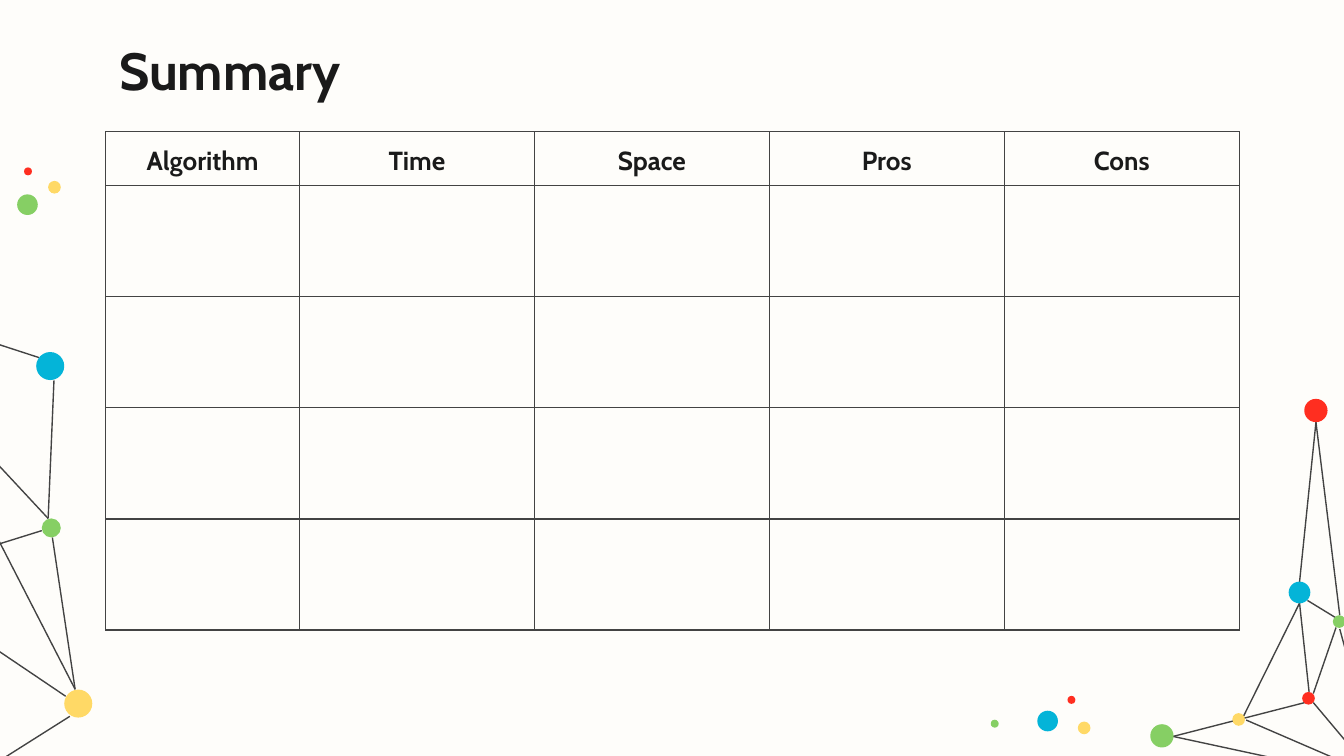
"""Build a summary slide with an algorithm comparison table and network decorations."""
from lxml.etree import SubElement
from pptx import Presentation
from pptx.dml.color import RGBColor
from pptx.enum.shapes import MSO_CONNECTOR as Connector, MSO_SHAPE as Shape
from pptx.enum.text import MSO_ANCHOR as Anchor, MSO_AUTO_SIZE as AutoSize, PP_ALIGN as Align
from pptx.oxml.ns import qn
from pptx.util import Cm, Pt

PAPER = RGBColor(0xFE, 0xFD, 0xFA)
INK = RGBColor(0x1A, 0x1A, 0x1A)
GREY = RGBColor(0x43, 0x43, 0x43)
YELLOW = RGBColor(0xFF, 0xD9, 0x66)
GREEN = RGBColor(0x86, 0xCF, 0x64)
RED = RGBColor(0xFF, 0x2E, 0x20)
BLUE = RGBColor(0x04, 0xB4, 0xD8)
LINE_WIDTH = Pt(0.75)

TITLE = "Summary"
HEADERS = ["Algorithm", "Time", "Space", "Pros", "Cons"]
COLUMN_WIDTHS = [3.66] + [4.44] * 4
ROW_HEIGHTS = [1.02] + [2.1] * 4
TABLE_LEFT, TABLE_TOP = 2, 2.49

EDGES = [
    (24.66, 13.28, 22.17, 13.92),
    (24.56, 11, 24.87, 7.98),
    (25.32, 11.63, 24.87, 7.98),
    (25.25, 11.68, 24.71, 11.35),
    (25.32, 11.89, 26.06, 14.61),
    (25.25, 11.86, 24.82, 13.11),
    (25.98, 14.66, 24.82, 13.28),
    (25.93, 14.73, 22.17, 13.92),
    (23.55, 13.61, 25.98, 14.66),
    (24.56, 11.4, 24.74, 13.08),
    (24.56, 11.4, 23.5, 13.54),
    (1.24, 13.16, -1.93, 11.02),
    (1.32, 13.54, -0.69, 14.81),
    (1.42, 13.03, 0.99, 10.16),
    (0.79, 10.03, -1.9, 10.87),
    (0.91, 9.8, -0.58, 8.2),
    (1.42, 13.03, -0.94, 8.43),
    (-2.24, 5.79, 0.74, 6.76),
    (1.02, 7.19, 0.91, 9.8),
]
DOTS = [
    (1.03, 3.54, 0.24, YELLOW),
    (0.52, 3.87, 0.39, GREEN),
    (0.53, 3.24, 0.15, RED),
    (20.49, 13.76, 0.24, YELLOW),
    (19.8, 13.63, 0.39, BLUE),
    (20.25, 13.23, 0.15, RED),
    (18.8, 13.68, 0.15, GREEN),
    (21.96, 13.91, 0.44, GREEN),
    (24.87, 7.76, 0.44, RED),
    (23.41, 13.6, 0.24, YELLOW),
    (25.31, 11.75, 0.24, GREEN),
    (24.56, 11.2, 0.41, BLUE),
    (24.73, 13.2, 0.24, RED),
    (1.48, 13.3, 0.53, YELLOW),
    (0.97, 9.98, 0.36, GREEN),
    (0.95, 6.92, 0.53, BLUE),
]


def apply(target, formats):
    for name, value in formats.items():
        setattr(target, name, value)


def write(paragraph, text, size, alignment):
    run = paragraph.add_run()
    run.text = text
    apply(run.font, {"name": "Cabin", "size": Pt(size), "bold": True})
    run.font.color.rgb = INK
    paragraph.alignment = alignment


def add_edge(slide, ends):
    edge = slide.shapes.add_connector(Connector.STRAIGHT, *map(Cm, ends))
    edge.line.color.rgb = GREY
    edge.line.width = LINE_WIDTH
    SubElement(edge.element.spPr, qn("a:effectLst"))


def add_dot(slide, x, y, diameter, color):
    corner = (x - diameter / 2, y - diameter / 2)
    dot = slide.shapes.add_shape(Shape.OVAL, *map(Cm, (*corner, diameter, diameter)))
    dot.shadow.inherit = False
    dot.fill.solid()
    dot.fill.fore_color.rgb = color
    dot.line.fill.background()


def add_title(slide):
    title = slide.shapes.title
    apply(title, {"left": Cm(2), "top": Cm(0.48), "width": Cm(21.44), "height": Cm(1.6)})
    inset = Cm(0.25)
    apply(title.text_frame, {
        "margin_left": inset, "margin_right": inset, "margin_top": inset, "margin_bottom": inset,
        "vertical_anchor": Anchor.TOP, "auto_size": AutoSize.NONE, "word_wrap": True,
    })
    write(title.text_frame.paragraphs[0], TITLE, 28, Align.LEFT)


def format_cell(cell):
    properties = cell._tc.get_or_add_tcPr()
    for side in ("lnL", "lnR", "lnT", "lnB"):
        border = SubElement(properties, qn(f"a:{side}"), w=str(LINE_WIDTH))
        fill = SubElement(border, qn("a:solidFill"))
        SubElement(fill, qn("a:srgbClr"), val=str(GREY))
    cell.fill.background()
    apply(cell, {
        "vertical_anchor": Anchor.MIDDLE, "margin_left": Cm(0.25), "margin_right": Cm(0.25),
        "margin_top": Cm(0.13), "margin_bottom": Cm(0.13),
    })


def add_summary_table(slide):
    box = (TABLE_LEFT, TABLE_TOP, sum(COLUMN_WIDTHS), sum(ROW_HEIGHTS))
    table = slide.shapes.add_table(len(ROW_HEIGHTS), len(HEADERS), *map(Cm, box)).table
    apply(table, {"first_row": False, "horz_banding": False})
    for column, width in zip(table.columns, COLUMN_WIDTHS):
        column.width = Cm(width)
    for row, height in zip(table.rows, ROW_HEIGHTS):
        row.height = Cm(height)
    for cell in table.iter_cells():
        format_cell(cell)
    for cell, header in zip(table.rows[0].cells, HEADERS):
        paragraph = cell.text_frame.paragraphs[0]
        write(paragraph, header, 14, Align.CENTER)
        paragraph.line_spacing = 1.15


def main():
    presentation = Presentation()
    apply(presentation, {"slide_width": Cm(25.4), "slide_height": Cm(14.29)})
    slide = presentation.slides.add_slide(presentation.slide_layouts[5])
    slide.background.fill.solid()
    slide.background.fill.fore_color.rgb = PAPER
    for edge in EDGES:
        add_edge(slide, edge)
    for dot in DOTS:
        add_dot(slide, *dot)
    add_title(slide)
    add_summary_table(slide)
    presentation.save("out.pptx")


if __name__ == "__main__":
    main()
